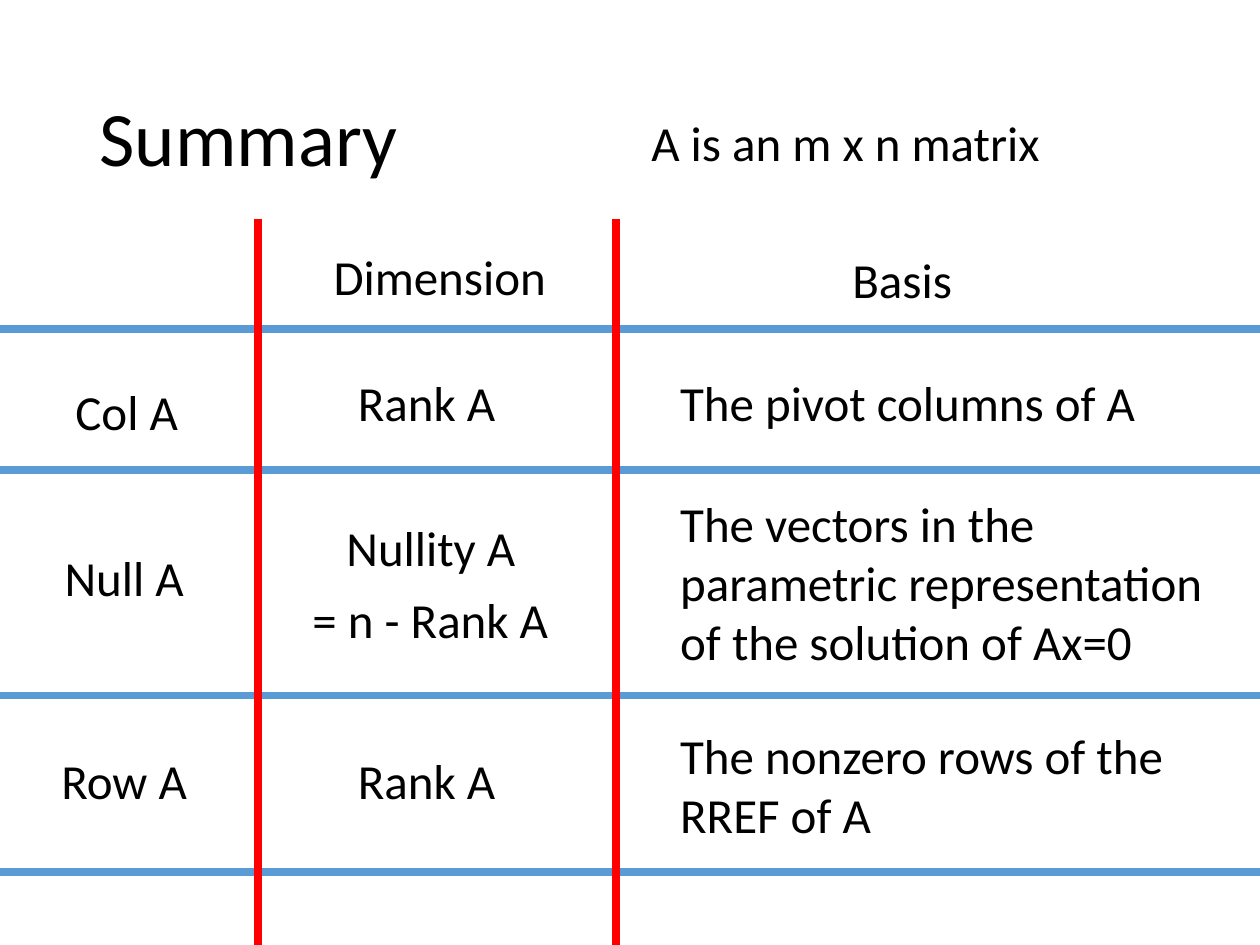
from lxml import etree
from pptx import Presentation
from pptx.dml.color import RGBColor
from pptx.enum.shapes import MSO_CONNECTOR
from pptx.enum.text import MSO_ANCHOR, MSO_AUTO_SIZE, PP_ALIGN
from pptx.oxml.ns import qn
from pptx.util import Inches, Pt

BLACK = RGBColor(0x00, 0x00, 0x00)
BLUE = RGBColor(0x5B, 0x9B, 0xD5)
RED = RGBColor(0xFF, 0x00, 0x00)
FONT = "Calibri"

LABELS = [
    ("Col A", 0.35, 2.98, 1.31),
    ("Null A", 0.33, 4.3, 1.31),
    ("Row A", 0.33, 5.91, 1.31),
    ("Rank A", 2.73, 2.91, 1.31),
    ("Nullity A", 2.48, 4.06, 1.88),
    ("Rank A", 2.73, 5.91, 1.31),
    ("= n - Rank A", 2.15, 4.63, 2.53),
    ("A is an m x n matrix", 4.89, 0.84, 3.64),
    ("Dimension", 2.4, 1.91, 2.18),
    ("Basis", 6.07, 1.93, 2.18),
]
BASES = [
    ("The pivot columns of A", 2.91, 4.2, 0.57),
    ("The vectors in the parametric representation of the solution of Ax=0",
     3.87, 4.58, 1.51),
    ("The nonzero rows of the RREF of A", 5.71, 4.2, 1.04),
]
BASIS_LEFT = 5.3
ROW_RULES = [(-0.3, 2.61), (-0.41, 5.52), (-0.3, 3.73), (-0.3, 6.92)]
RULE_LENGTH = 10.6
COLUMN_RULES = [2.05, 4.89]
COLUMN_TOP, COLUMN_BOTTOM = 1.74, 7.6


def write_text(frame, text, size=28, align=PP_ALIGN.LEFT, spacing=1.0):
    """Fill a text frame with one formatted paragraph."""
    frame.word_wrap = True
    paragraph = frame.paragraphs[0]
    paragraph.alignment = align
    paragraph.line_spacing = spacing
    run = paragraph.add_run()
    run.text = text
    run.font.name = FONT
    run.font.size = Pt(size)
    run.font.color.rgb = BLACK


def add_title(slide, text):
    """Move the title placeholder into place and fill it."""
    title = slide.shapes.title
    title.left, title.top = Inches(0.69), Inches(0.4)
    title.width, title.height = Inches(8.62), Inches(1.45)
    title.text_frame.vertical_anchor = MSO_ANCHOR.MIDDLE
    title.text_frame.auto_size = MSO_AUTO_SIZE.NONE
    write_text(title.text_frame, text, size=44, spacing=0.9)


def add_entry(slide, text, left, top, width, height=0.57, **text_format):
    """Add one text entry of the summary."""
    entry = slide.shapes.add_textbox(
        Inches(left), Inches(top), Inches(width), Inches(height))
    entry.text_frame.auto_size = MSO_AUTO_SIZE.SHAPE_TO_FIT_TEXT
    write_text(entry.text_frame, text, **text_format)


def add_rule(slide, start, end, color):
    """Add a thick straight rule without a shadow."""
    rule = slide.shapes.add_connector(
        MSO_CONNECTOR.STRAIGHT, *map(Inches, start + end))
    rule.line.color.rgb = color
    rule.line.width = Pt(4.5)
    etree.SubElement(rule._element.spPr, qn("a:effectLst"))


def main():
    """Build the summary slide and save it."""
    presentation = Presentation()
    presentation.slide_width = Inches(10)
    presentation.slide_height = Inches(7.5)
    slide = presentation.slides.add_slide(presentation.slide_layouts[5])

    add_title(slide, "Summary")
    for text, left, top, width in LABELS:
        add_entry(slide, text, left, top, width, align=PP_ALIGN.CENTER)
    for text, top, width, height in BASES:
        add_entry(slide, text, BASIS_LEFT, top, width, height)
    for left, y in ROW_RULES:
        add_rule(slide, (left, y), (left + RULE_LENGTH, y), BLUE)
    for x in COLUMN_RULES:
        add_rule(slide, (x, COLUMN_BOTTOM), (x, COLUMN_TOP), RED)

    presentation.save("out.pptx")


main()
